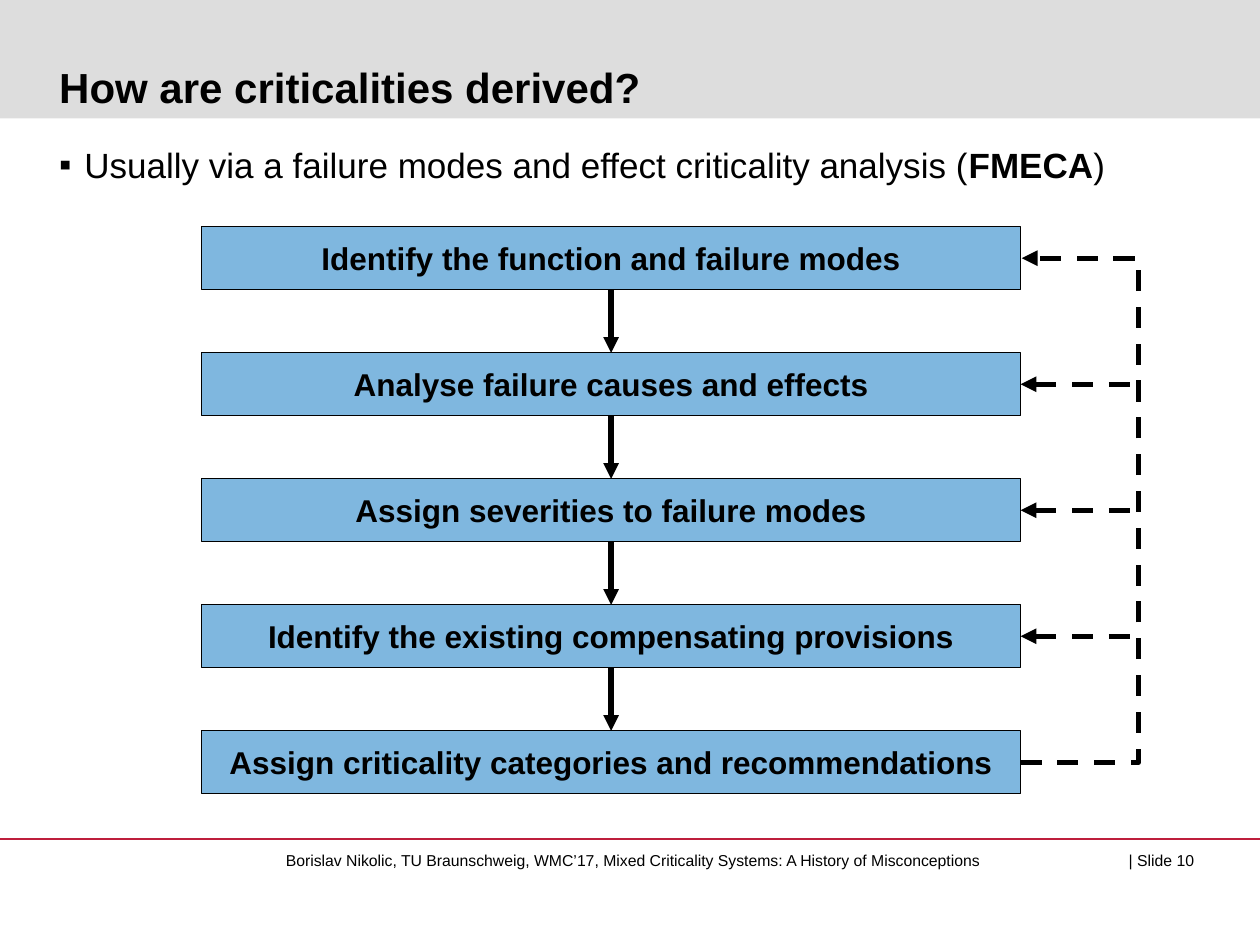
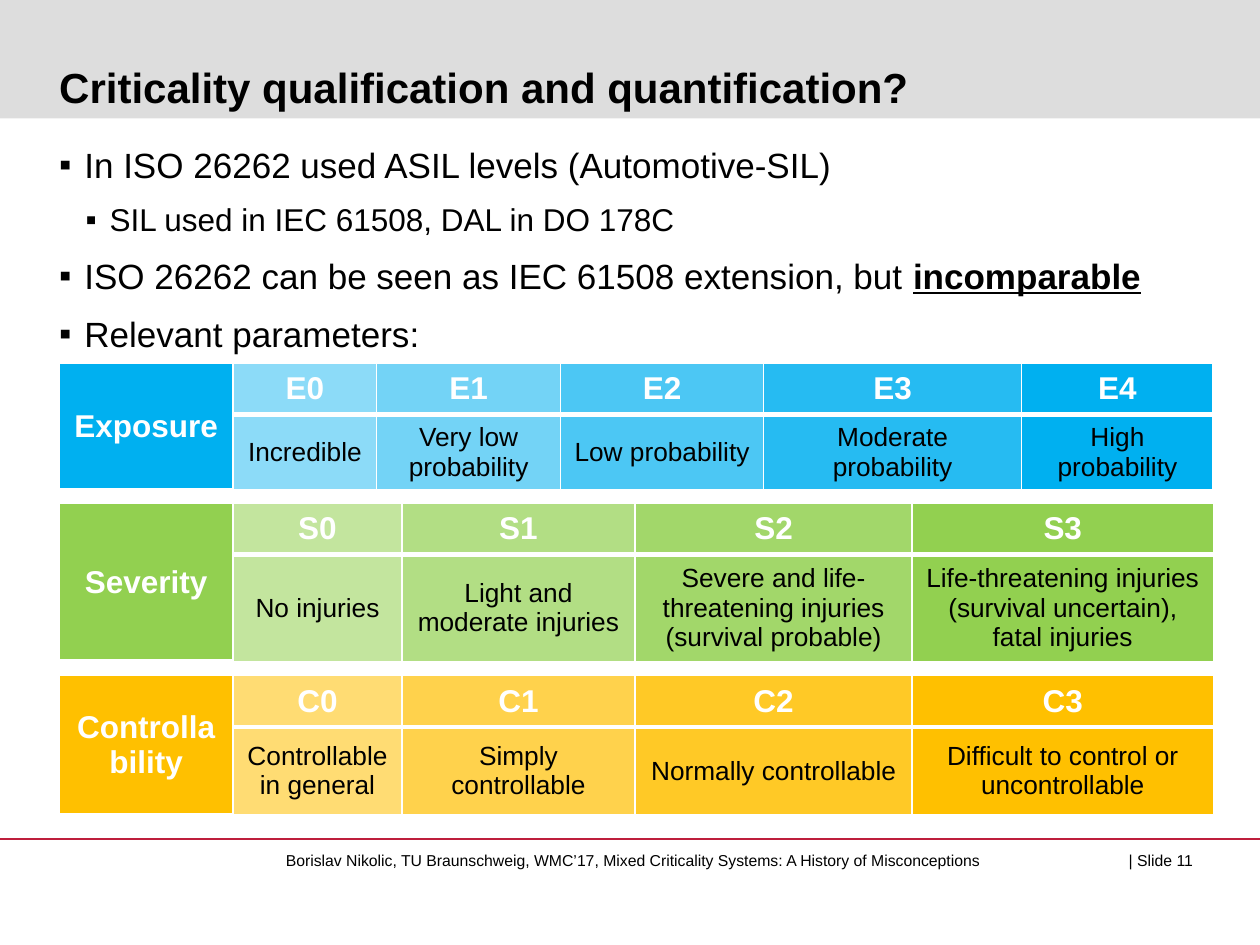
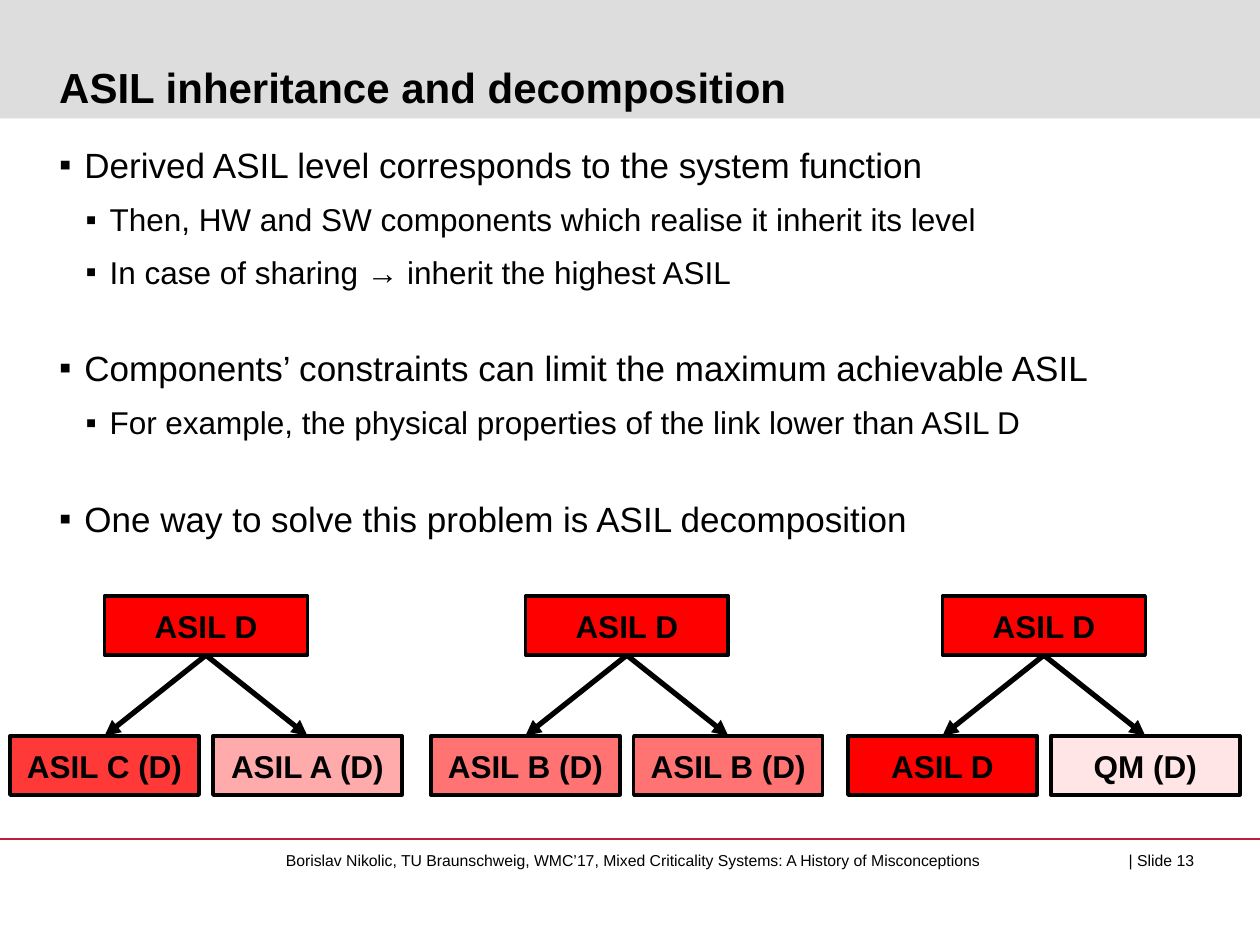
from lxml import etree
from pptx import Presentation
from pptx.dml.color import RGBColor
from pptx.enum.dml import MSO_LINE
from pptx.enum.shapes import MSO_CONNECTOR, MSO_SHAPE
from pptx.enum.text import MSO_ANCHOR, PP_ALIGN
from pptx.oxml.ns import qn
from pptx.util import Inches, Pt

RECT = MSO_SHAPE.RECTANGLE
STRAIGHT = MSO_CONNECTOR.STRAIGHT
ELBOW = MSO_CONNECTOR.ELBOW
DASH = MSO_LINE.DASH
TOP, MIDDLE, BOTTOM = MSO_ANCHOR.TOP, MSO_ANCHOR.MIDDLE, MSO_ANCHOR.BOTTOM
LEFT, CENTER = PP_ALIGN.LEFT, PP_ALIGN.CENTER

FONT = "Arial"
BLACK, WHITE, GRAY, CRIMSON = "000000", "FFFFFF", "DDDDDD", "BE1E3C"
BLUE, RED = "0070C0", "FF0000"
SKY, GREEN, AMBER = "00B0F0", "92D050", "FFC000"
FOOTER = ("Borislav Nikolic, TU Braunschweig, WMC’17, "
          "Mixed Criticality Systems: A History of Misconceptions")
LEVELS = {1: (20, 0.2, -0.2, 9.2), 2: (18, 0.4, -0.19, 8.3)}
GAP = 32.2
SHADES = [45, 55, 70, 85, 100]


def rgb(color):
    return RGBColor.from_string(color)


def child(parent, tag, **attrs):
    return etree.SubElement(parent, qn(tag), **attrs)


def paint(item, props, color, alpha=100):
    item.fill.solid()
    item.fill.fore_color.rgb = rgb(color)
    if alpha < 100:
        tint = props.find(qn("a:solidFill"))[0]
        child(tint, "a:alpha", val=str(alpha * 1000))


class Deck:
    def __init__(self):
        self.file = Presentation()
        self.file.slide_width = Inches(10)
        self.file.slide_height = Inches(7.5)
        self.slide = None

    def start(self, title, number):
        self.slide = self.file.slides.add_slide(self.file.slide_layouts[6])
        self.box(0, 0, 10, 0.94, GRAY)
        self.line(0, 6.66, 10, 6.66, CRIMSON, 1.5)
        foot = self.text(2.17, 6.7, 7.47, 0.25).paragraphs[0]
        tabs = child(foot._p.get_or_add_pPr(), "a:tabLst")
        child(tabs, "a:tab", pos=str(Inches(6.69)), algn="l")
        self.run(foot, f"{FOOTER}\t| Slide {number}", 9)
        head = self.text(0.47, 0.12, 8.12, 0.77, BOTTOM, 0)
        self.run(head.paragraphs[0], title, 24, "b")

    def run(self, para, words, size, style="", color=BLACK):
        run = para.add_run()
        run.text = words
        font = run.font
        font.name, font.size = FONT, Pt(size)
        font.bold = "b" in style
        font.underline = "u" in style
        font.color.rgb = rgb(color)

    def text(self, x, y, w, h, anchor=TOP, inset=None):
        frame = self.slide.shapes.add_textbox(
            Inches(x), Inches(y), Inches(w), Inches(h)).text_frame
        frame.word_wrap = True
        frame.vertical_anchor = anchor
        if inset is not None:
            frame.margin_left = frame.margin_right = Inches(inset)
            frame.margin_top = frame.margin_bottom = Inches(inset)
        return frame

    def list(self, *items):
        frame = self.text(0.47, 1.14, 9.16, 5.22, inset=0)
        for i, (level, runs, *space) in enumerate(items):
            para = frame.add_paragraph() if i else frame.paragraphs[0]
            size, left, hang, before = LEVELS[level]
            props = para._p.get_or_add_pPr()
            props.set("marL", str(Inches(left)))
            props.set("indent", str(Inches(hang)))
            child(props, "a:buFont", typeface=FONT)
            child(props, "a:buChar", char="▪")
            para.alignment = LEFT
            para.space_before = Pt(space[0] if space else before if i else 0)
            for words, style in runs:
                self.run(para, words, size, style)

    def box(self, x, y, w, h, color, alpha=100, words="", edge=0):
        box = self.slide.shapes.add_shape(
            RECT, Inches(x), Inches(y), Inches(w), Inches(h))
        box.shadow.inherit = False
        paint(box, box._element.spPr, color, alpha)
        if edge:
            box.line.color.rgb = rgb(BLACK)
            box.line.width = Pt(edge)
        else:
            box.line.fill.background()
        if words:
            frame = box.text_frame
            frame.word_wrap = True
            frame.vertical_anchor = MIDDLE
            para = frame.paragraphs[0]
            para.alignment = CENTER
            self.run(para, words, 18, "b")
        return box

    def line(self, x1, y1, x2, y2, color=BLACK, size=3, tip="",
             dash=False, kind=STRAIGHT):
        line = self.slide.shapes.add_connector(
            kind, Inches(x1), Inches(y1), Inches(x2), Inches(y2))
        line.line.color.rgb = rgb(color)
        line.line.width = Pt(size)
        if dash:
            line.line.dash_style = DASH
        props = line._element.spPr
        if tip:
            child(props.find(qn("a:ln")), tip, type="triangle")
        child(props, "a:effectLst")
        return line

    def join(self, start, end):
        link = self.line(0, 0, 1, 1, tip="a:tailEnd")
        link.begin_connect(start, 2)
        link.end_connect(end, 0)

    def cell(self, cell, words, color, alpha, size, style, ink, edges):
        props = cell._tc.get_or_add_tcPr()
        for side, width in zip("LRTB", edges):
            edge = child(props, f"a:ln{side}", w=str(Pt(width)))
            child(child(edge, "a:solidFill"), "a:srgbClr", val=WHITE)
        paint(cell, props, color, alpha)
        cell.vertical_anchor = MIDDLE
        para = cell.text_frame.paragraphs[0]
        para.alignment = CENTER
        if words:
            self.run(para, words, size, style, ink)

    def table(self, y, low, name, color, widths, notes):
        count = len(notes)
        grid = self.slide.shapes.add_table(
            2, count + 1, Inches(0.47), Inches(y),
            Inches(9.16), Inches(0.41 + low)).table
        grid.first_row = grid.horz_banding = False
        for column, width in zip(grid.columns, widths):
            column.width = Inches(width)
        for row, height in zip(grid.rows, (0.41, low)):
            row.height = Inches(height)
        head = (18, "b", WHITE, (1, 1, 1, 3))
        body = (15, "", BLACK, (1, 1, 3, 1))
        grid.cell(0, 0).merge(grid.cell(1, 0))
        self.cell(grid.cell(0, 0), name, color, 100, *head)
        self.cell(grid.cell(1, 0), "", color, 100, *head)
        for i, (note, shade) in enumerate(zip(notes, SHADES[-count:])):
            top, base = grid.cell(0, i + 1), grid.cell(1, i + 1)
            self.cell(top, f"{name[0]}{i}", color, shade, *head)
            self.cell(base, note, color, shade, *body)


def steps(deck):
    deck.start("How are criticalities derived?", 10)
    deck.list((1, [
        ("Usually via a failure modes and effect criticality analysis (", ""),
        ("FMECA", "b"), (")", "")]))
    names = ["Identify the function and failure modes",
             "Analyse failure causes and effects",
             "Assign severities to failure modes",
             "Identify the existing compensating provisions",
             "Assign criticality categories and recommendations"]
    boxes = [deck.box(1.6, 1.8 + i, 6.5, 0.5, BLUE, 50, name, 0.75)
             for i, name in enumerate(names)]
    for start, end in zip(boxes, boxes[1:]):
        deck.join(start, end)
    loop = deck.line(8.1, 6.05, 8.11, 2.05, tip="a:tailEnd",
                     dash=True, kind=ELBOW)
    shape = loop._element.spPr.find(qn("a:prstGeom"))
    child(shape.find(qn("a:avLst")), "a:gd", name="adj1", fmla="val 9500000")
    for i in (3, 2, 1):
        back = deck.line(8.1, 2.05 + i, 9.02, 2.05 + i,
                         tip="a:headEnd", dash=True)
        back.begin_connect(boxes[i], 3)


def scales(deck):
    deck.start("Criticality qualification and quantification?", 11)
    deck.list(
        (1, [("In ISO 26262 used ASIL levels (Automotive-SIL)", "")]),
        (2, [("SIL used in IEC 61508, DAL in DO 178C", "")]),
        (1, [("ISO 26262 can be seen as IEC 61508 extension, but ", ""),
             ("incomparable", "bu")]),
        (1, [("Relevant parameters:", "")]))
    deck.table(2.88, 0.57, "Exposure", SKY,
               [1.38, 1.14, 1.46, 1.61, 2.05, 1.52],
               ["Incredible", "Very low probability", "Low probability",
                "Moderate probability", "High probability"])
    widths = [1.38, 1.34, 1.85, 2.2, 2.39]
    deck.table(3.99, 0.79, "Severity", GREEN, widths,
               ["No injuries", "Light and moderate injuries",
                "Severe and life-threatening injuries (survival probable)",
                "Life-threatening injuries (survival uncertain), "
                "fatal injuries"])
    deck.table(5.36, 0.65, "Controllability", AMBER, widths,
               ["Controllable in general", "Simply controllable",
                "Normally controllable",
                "Difficult to control or uncontrollable"])


def trees(deck):
    deck.start("ASIL inheritance and decomposition", 13)
    deck.list(
        (1, [("Derived ASIL level corresponds to the system function", "")]),
        (2, [("Then, HW and SW components which realise it "
              "inherit its level", "")]),
        (2, [("In case of sharing → inherit the highest ASIL", "")]),
        (1, [("Components’ constraints can limit the maximum "
              "achievable ASIL", "")], GAP),
        (2, [("For example, the physical properties of the link "
              "lower than ASIL D", "")]),
        (1, [("One way to solve this problem is ASIL decomposition", "")],
         GAP))
    groups = [(0.83, [("ASIL C (D)", 78), ("ASIL A (D)", 33)]),
              (4.17, [("ASIL B (D)", 55), ("ASIL B (D)", 55)]),
              (7.48, [("ASIL D", 100), ("QM (D)", 10)])]
    for x, parts in groups:
        root = deck.box(x, 4.73, 1.61, 0.47, RED, 100, "ASIL D", 2)
        for i, (name, shade) in enumerate(parts):
            leaf = deck.box(x - 0.75 + 1.61 * i, 5.84, 1.5, 0.47,
                            RED, shade, name, 2)
            deck.join(root, leaf)


def main():
    deck = Deck()
    steps(deck)
    scales(deck)
    trees(deck)
    deck.file.save("out.pptx")


if __name__ == "__main__":
    main()
